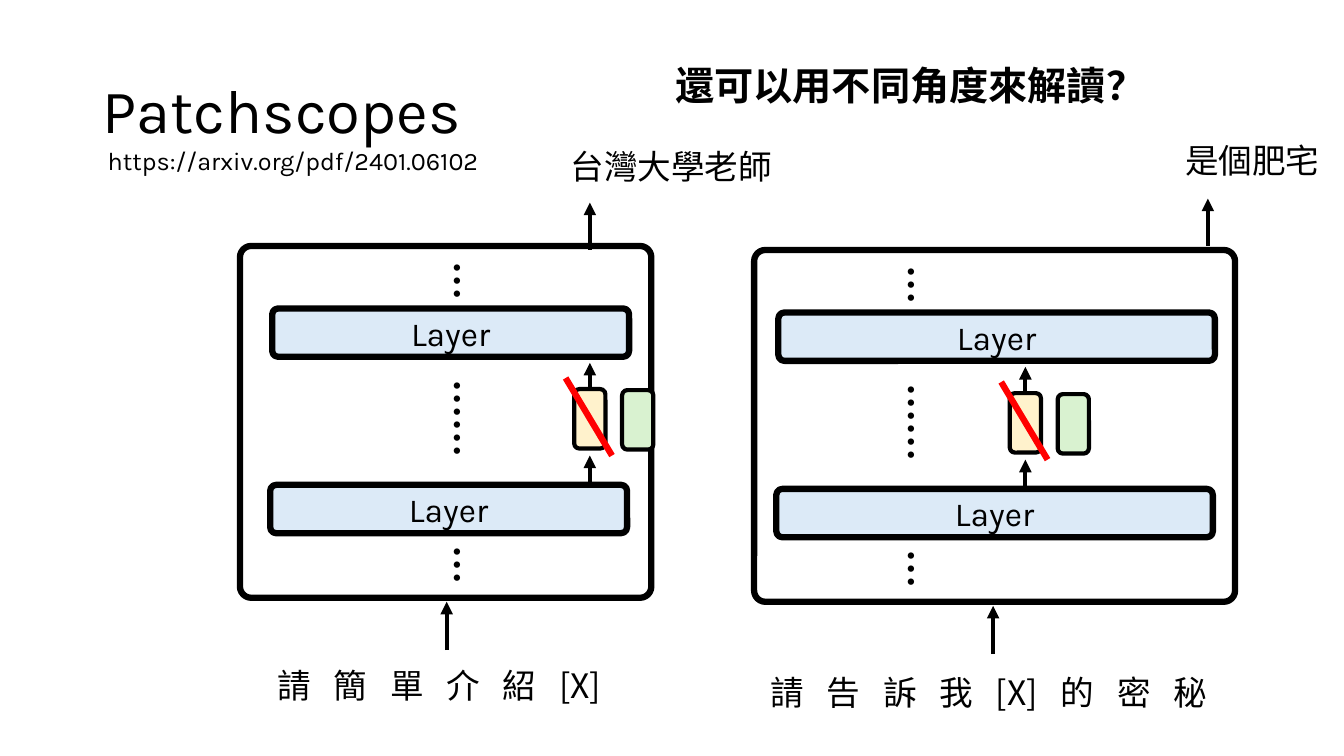
from lxml import etree
from pptx import Presentation
from pptx.dml.color import RGBColor
from pptx.enum.shapes import MSO_CONNECTOR, MSO_SHAPE
from pptx.enum.text import MSO_ANCHOR, PP_ALIGN
from pptx.oxml.ns import qn
from pptx.util import Inches, Pt

LEFT, CENTER = PP_ALIGN.LEFT, PP_ALIGN.CENTER
TOP, MIDDLE = MSO_ANCHOR.TOP, MSO_ANCHOR.MIDDLE
ROUNDED = MSO_SHAPE.ROUNDED_RECTANGLE
STRAIGHT = MSO_CONNECTOR.STRAIGHT

COLORS = {
    "ink": "000000",
    "layer": "DCEAF7",
    "hidden": "FFF2CC",
    "patch": "D9F2D0",
    "strike": "FF0000",
}
LATIN, CHINESE = "Karla", "Noto Sans CJK SC"
WORD_GAP = 1090  # extra width of a space, in hundredths of a point

# Offsets are measured from the panel's top left corner.
PANELS = [
    {
        "box": (2.38, 2.44, 4.08, 3.49), "layer": (0.3, 3.54),
        "dots": 2.165, "column": 3.47,
        "input": 2.05, "output": (3.47, 0.04),
        "prompt": ("請 簡 單 介 紹 [X]", 0.27, 4.11, 3.78),
        "answer": ("台灣大學老師", 3.18, -1.04, 2.63, LEFT),
    },
    {
        "box": (7.48, 2.48, 4.77, 3.49), "layer": (0.22, 4.33),
        "dots": 1.565, "column": 2.69,
        "input": 2.37, "output": (4.5, -0.04),
        "prompt": ("請 告 訴 我 [X] 的 密 秘", 0.06, 4.14, 5.18),
        "answer": ("是個肥宅", 4.05, -1.14, 1.78, CENTER),
    },
]


def color(name):
    return RGBColor.from_string(COLORS[name])


def add_run(paragraph, text, font, size, bold=False):
    run = paragraph.add_run()
    run.text = text
    run.font.color.rgb = color("ink")
    formats = {"name": font, "size": Pt(size), "bold": bold}
    for attribute, value in formats.items():
        setattr(run.font, attribute, value)
    properties = run._r.get_or_add_rPr()
    etree.SubElement(properties, qn("a:ea")).set("typeface", font)
    return properties


def add_text(slide, text, box, font, size, bold=False, align=LEFT, anchor=TOP):
    shape = slide.shapes.add_textbox(*map(Inches, box))
    frame = shape.text_frame
    frame.word_wrap = True
    frame.vertical_anchor = anchor
    paragraph = frame.paragraphs[0]
    paragraph.alignment = align
    if text:
        add_run(paragraph, text, font, size, bold)
    return shape


def add_prompt(slide, text, box):
    """Write words one by one, with widened spaces between them."""
    paragraph = add_text(slide, "", box, CHINESE, 24).text_frame.paragraphs[0]
    for index, word in enumerate(text.split()):
        if index:
            add_run(paragraph, " ", CHINESE, 24).set("spc", str(WORD_GAP))
        add_run(paragraph, word, CHINESE, 24)


def add_block(slide, box, weight, fill=None, rounding=0.167):
    shape = slide.shapes.add_shape(ROUNDED, *map(Inches, box))
    shape.shadow.inherit = False
    shape.adjustments[0] = rounding
    if fill:
        shape.fill.solid()
        shape.fill.fore_color.rgb = color(fill)
    else:
        shape.fill.background()
    shape.line.color.rgb = color("ink")
    shape.line.width = Pt(weight)
    return shape


def add_layer(slide, box):
    frame = add_block(slide, box, 4.5, "layer", 0.125).text_frame
    frame.vertical_anchor = MIDDLE
    frame.paragraphs[0].alignment = CENTER
    add_run(frame.paragraphs[0], "Layer", LATIN, 24)


def add_line(slide, start, end, name="ink", weight=3, arrow=True):
    line = slide.shapes.add_connector(STRAIGHT, *map(Inches, (*start, *end)))
    line.line.color.rgb = color(name)
    line.line.width = Pt(weight)
    if arrow:
        head = etree.SubElement(line.line._get_or_add_ln(), qn("a:tailEnd"))
        head.set("type", "triangle")
    etree.SubElement(line._element.spPr, qn("a:effectLst"))


def add_dots(slide, center, top, text, width):
    box = (center - width / 2, top, width, 0.57)
    add_text(slide, text, box, CHINESE, 28, True, CENTER).rotation = 90


def add_panel(slide, panel):
    """Draw one model with its prompt, layers, patched cell and answer."""
    left, top, width, height = panel["box"]
    add_block(slide, panel["box"], 4.5, rounding=0.032)

    inset, layer_width = panel["layer"]
    for shift, offset in ((0, 2.37), (0.02, 0.62)):
        add_layer(slide, (left + inset + shift, top + offset, layer_width, 0.48))

    center = left + panel["dots"]
    for offset, text, dots_width in ((0.06, "…", 0.83), (1.43, "……", 1.22),
                                     (2.88, "…", 0.83)):
        add_dots(slide, center, top + offset, text, dots_width)

    column = left + panel["column"]
    output, output_start = panel["output"]
    arrows = (
        (left + panel["input"], height + 0.52, 0.48),
        (left + output, output_start, 0.47),
        (column, 1.45, 0.29),
        (column, 2.37, 0.29),
    )
    for x, start, length in arrows:
        add_line(slide, (x, top + start), (x, top + start - length))

    for shift, offset, fill in ((-0.155, 1.42, "hidden"), (0.32, 1.43, "patch")):
        add_block(slide, (column + shift, top + offset, 0.31, 0.59), 3, fill)
    add_line(slide, (column - 0.24, top + 1.31), (column + 0.22, top + 2.08),
             "strike", 4.5, arrow=False)

    text, x, y, text_width = panel["prompt"]
    add_prompt(slide, text, (left + x, top + y, text_width, 0.5))
    text, x, y, text_width, align = panel["answer"]
    add_text(slide, text, (left + x, top + y, text_width, 0.5),
             CHINESE, 24, align=align)


def add_header(slide, box):
    left, top, width, height = box
    title = add_text(slide, "Patchscopes", box, LATIN, 44, anchor=MIDDLE)
    title.text_frame.paragraphs[0].line_spacing = 0.9
    add_text(slide, "https://arxiv.org/pdf/2401.06102",
             (left + 0.05, top + 0.99, 7.56, 0.4), LATIN, 18)
    add_text(slide, "還可以用不同角度來解讀？",
             (left + 5.68, top + 0.16, 4.86, 0.57), CHINESE, 28, True)


def main():
    presentation = Presentation()
    presentation.slide_width = Inches(13.33)
    presentation.slide_height = Inches(7.5)
    slide = presentation.slides.add_slide(presentation.slide_layouts[6])
    add_header(slide, (0.92, 0.4, 11.5, 1.45))
    for panel in PANELS:
        add_panel(slide, panel)
    presentation.save("out.pptx")


if __name__ == "__main__":
    main()
